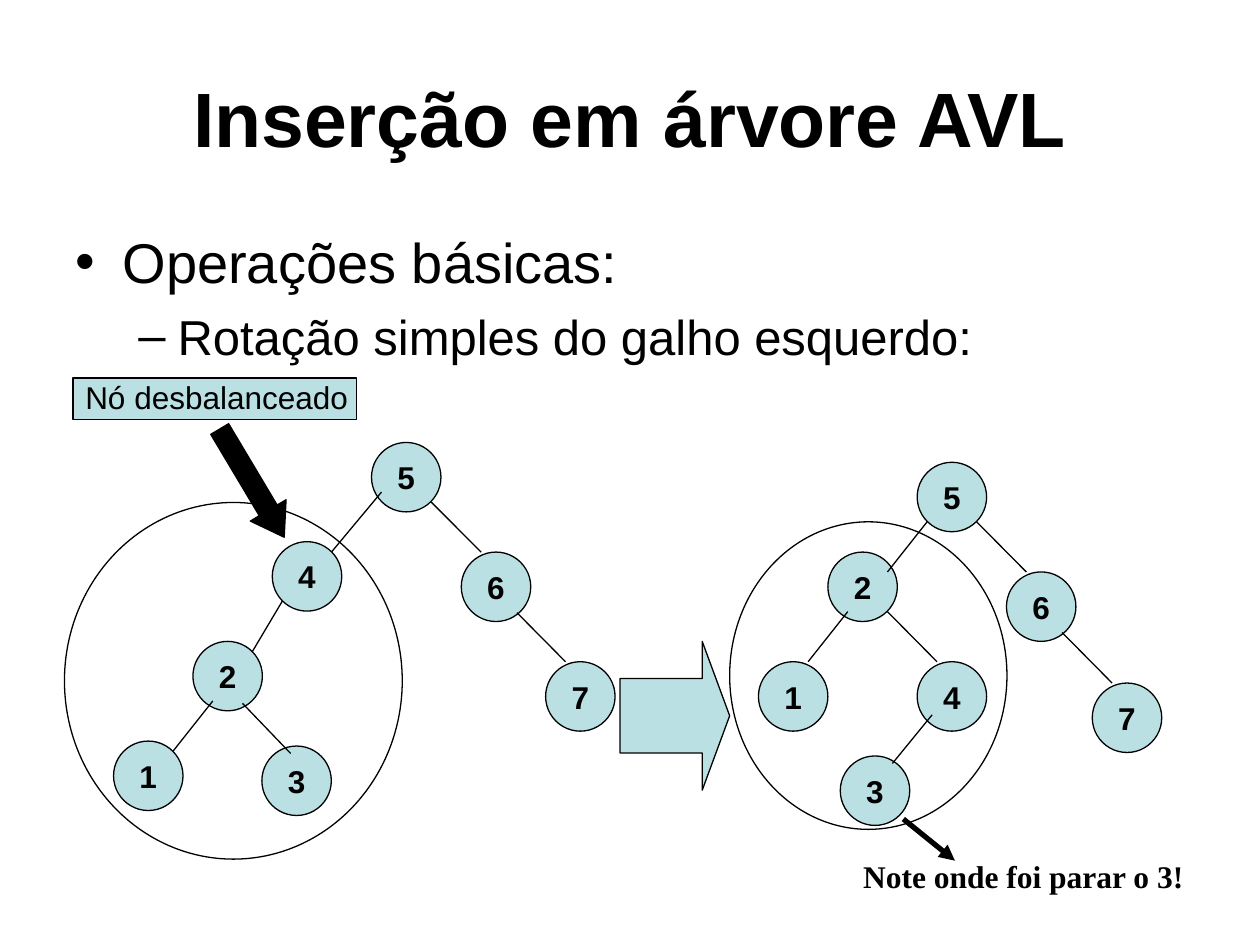
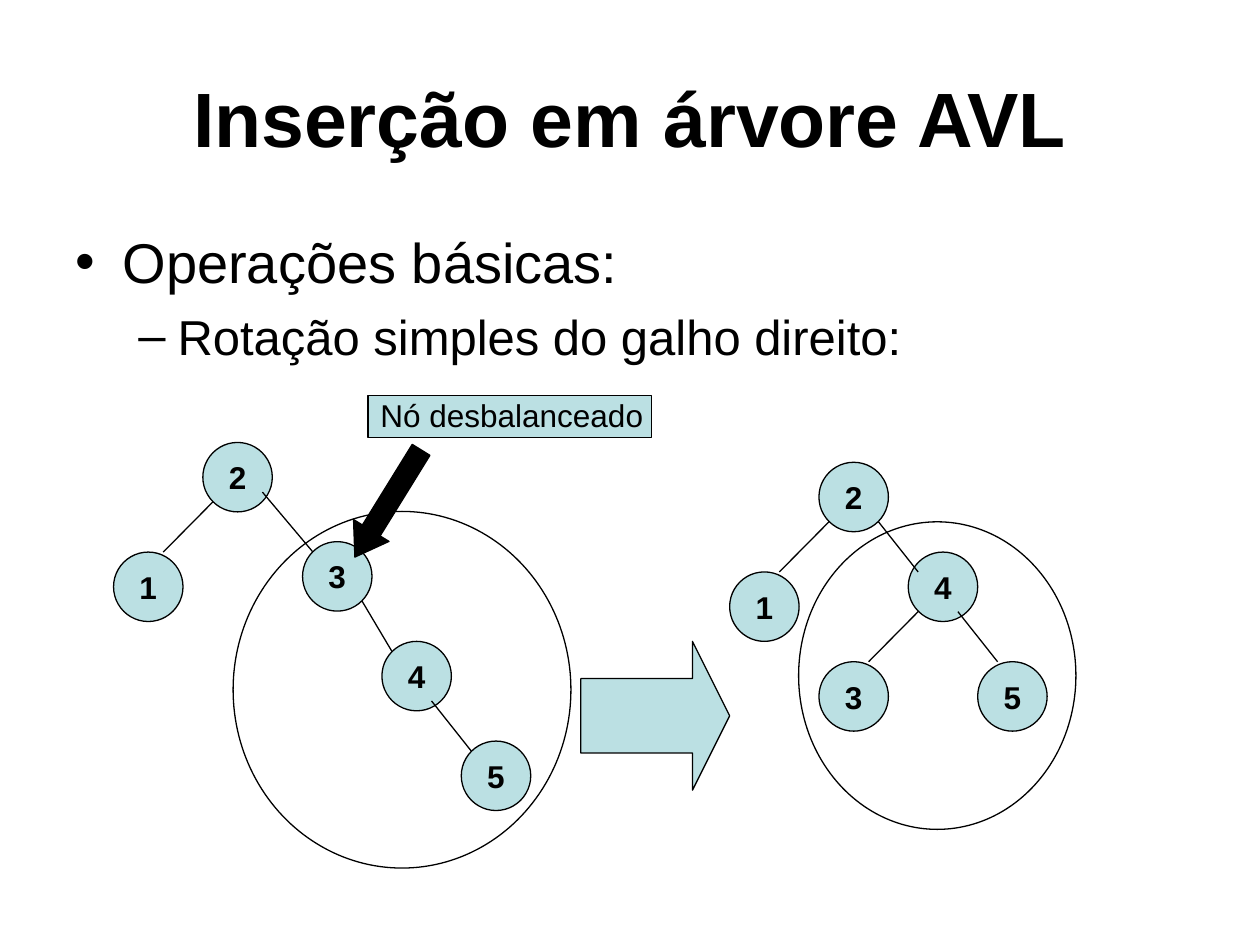
from lxml import etree
from pptx import Presentation
from pptx.dml.color import RGBColor
from pptx.enum.shapes import MSO_CONNECTOR, MSO_SHAPE
from pptx.enum.text import MSO_ANCHOR, PP_ALIGN
from pptx.oxml.ns import qn
from pptx.util import Cm, Pt

BLACK = RGBColor(0x00, 0x00, 0x00)
PALE = RGBColor(0xBB, 0xE0, 0xE3)
SANS, SERIF = "Arial", "Times New Roman"
OVAL, RECT, ARROW = MSO_SHAPE.OVAL, MSO_SHAPE.RECTANGLE, MSO_SHAPE.RIGHT_ARROW
STRAIGHT = MSO_CONNECTOR.STRAIGHT
LEFT, CENTER = PP_ALIGN.LEFT, PP_ALIGN.CENTER
TOP, MIDDLE = MSO_ANCHOR.TOP, MSO_ANCHOR.MIDDLE

# All places and sizes are in centimetres.
NODE = 1.4
TITLE = "Inserção em árvore AVL"
TOPIC = "Operações básicas:"
TAG = "Nó desbalanceado"

# Edge ends for a right child: exit x, y in the parent, entry x, y in the child.
# A left child uses the mirror image.
WIDE = (1.2, 1.2, 0.4, 0)
STEEP = (1, 1.2, 0.4, 0)
NEAR = (1.2, 1.2, 0.2, 0.2)
INNER = (1, 1.2, 0.2, 0.2)
HIGH = (1.2, 1, 0.2, 0.2)
DEEP = (1.2, 1.2, 0.2, 0.4)
LOW = (1, 1.25, 0.58, 0.15)
SHORT = (1.1, 1.07, 0.35, 0.15)
OUTER = (1.12, 1.22, 0.4, 0)

# Each tree maps a key to x, y, parent and edge ends.
SLIDES = [
    {
        "step": "Rotação simples do galho esquerdo:",
        "trees": [
            {5: (7.49, 8.92, None, None), 4: (5.49, 10.92, 5, HIGH),
             6: (9.3, 11.13, 5, WIDE), 2: (3.89, 12.93, 4, NEAR),
             7: (11, 13.34, 6, OUTER), 1: (2.29, 14.94, 2, INNER),
             3: (5.28, 15.04, 2, LOW)},
            {5: (18.49, 9.32, None, None), 2: (16.69, 11.13, 5, DEEP),
             6: (20.29, 11.53, 5, WIDE), 1: (15.29, 13.34, 2, STEEP),
             4: (18.49, 13.34, 2, WIDE), 7: (22.02, 13.77, 6, OUTER),
             3: (16.94, 15.24, 4, SHORT)},
        ],
        "rings": [(1.3, 10.13, 6.81, 7.19), (14.71, 10.52, 5.59, 6.2)],
        "block": (12.5, 12.93, 2.21, 3),
        "tag": (1.47, 7.62, 5.72, 0.84),
        "hint": (3.81, 9.32, 2.54, 0.84),
        "angle": 59.2,
        "note": ("Note onde foi parar o 3!", (17.15, 17.15, 6.99, 1.02),
                 (18.21, 16.51, 19.25, 17.35)),
    },
    {
        "step": "Rotação simples do galho direito:",
        "trees": [
            {2: (4.09, 8.92, None, None), 1: (2.29, 11.13, 2, WIDE),
             3: (6.1, 10.92, 2, HIGH), 4: (7.7, 12.93, 3, NEAR),
             5: (9.3, 14.94, 4, INNER)},
            {2: (16.51, 9.32, None, None), 1: (14.71, 11.53, 2, WIDE),
             4: (18.31, 11.13, 2, DEEP), 3: (16.51, 13.34, 4, WIDE),
             5: (19.71, 13.34, 4, STEEP)},
        ],
        "rings": [(4.7, 10.31, 6.81, 7.19), (16.1, 10.52, 5.59, 6.2)],
        "block": (11.71, 12.93, 3, 3),
        "tag": (7.42, 7.98, 5.72, 0.84),
        "hint": (6.55, 9.73, 2.54, 0.84),
        "angle": 121.7,
    },
]


def cms(nums):
    return [Cm(n) for n in nums]


def write(shape, text, size=18, font=SANS, bold=False, align=LEFT,
          anchor=TOP, wrap=False, more=False, top=0.13):
    """Put text in a shape, or add a paragraph when more is set."""
    frame = shape.text_frame
    frame.word_wrap = wrap
    frame.vertical_anchor = anchor
    frame.margin_left = frame.margin_right = Cm(0.25)
    frame.margin_top, frame.margin_bottom = Cm(top), Cm(0.13)
    para = frame.add_paragraph() if more else frame.paragraphs[0]
    para.alignment = align
    run = para.add_run()
    run.text = text
    run.font.size, run.font.name, run.font.bold = Pt(size), font, bold
    run.font.color.rgb = BLACK
    return para


def bullet(para, mark, indent, hang, space):
    para.space_before = Pt(space)
    props = para._p.get_or_add_pPr()
    props.set("marL", str(Cm(indent)))
    props.set("indent", str(-Cm(hang)))
    etree.SubElement(props, qn("a:buFont")).set("typeface", SANS)
    etree.SubElement(props, qn("a:buChar")).set("char", mark)


def draw(slide, kind, box, fill=None):
    shape = slide.shapes.add_shape(kind, *cms(box))
    shape.shadow.inherit = False
    if fill is None:
        shape.fill.background()
    else:
        shape.fill.solid()
        shape.fill.fore_color.rgb = fill
    shape.line.color.rgb = BLACK
    shape.line.width = Pt(0.75)
    return shape


def arrow(slide, box, fill, head):
    shape = draw(slide, ARROW, box, fill)
    shape.adjustments[0], shape.adjustments[1] = 0.5, head
    return shape


def link(slide, ends, width=0.75, tip=False):
    line = slide.shapes.add_connector(STRAIGHT, *cms(ends))
    line.line.color.rgb = BLACK
    line.line.width = Pt(width)
    if tip:
        tail = etree.SubElement(line.line._get_or_add_ln(), qn("a:tailEnd"))
        tail.set("type", "triangle")
    etree.SubElement(line._element.spPr, qn("a:effectLst"))


def grow(slide, tree):
    """Draw the nodes of a tree, then its edges on top."""
    for key, (x, y, *_) in tree.items():
        node = draw(slide, OVAL, (x, y, NODE, NODE), PALE)
        write(node, str(key), bold=True, align=CENTER, anchor=MIDDLE)
    for x, y, root, joint in tree.values():
        if root is None:
            continue
        px, py = tree[root][:2]
        ax, ay, bx, by = joint
        if x < px:
            ax, bx = NODE - ax, NODE - bx
        link(slide, (px + ax, py + ay, x + bx, y + by))


def build(deck, data):
    slide = deck.slides.add_slide(deck.slide_layouts[5])
    title = slide.shapes.title
    title.left, title.top, title.width, title.height = cms((1.27, 0.76, 22.86, 3.18))
    write(title, TITLE, size=44, bold=True, align=CENTER, anchor=MIDDLE, wrap=True)

    body = slide.shapes.add_textbox(*cms((1.27, 4.45, 22.86, 12.57)))
    bullet(write(body, TOPIC, size=32, wrap=True), "•", 0.95, 0.95, 8)
    step = write(body, data["step"], size=28, wrap=True, more=True)
    step.level = 1
    bullet(step, "–", 2.06, 0.79, 7)

    arrow(slide, data["block"], PALE, 0.25)
    for tree in data["trees"]:
        grow(slide, tree)
    for ring in data["rings"]:
        draw(slide, OVAL, ring)
    arrow(slide, data["hint"], BLACK, 0.75).rotation = data["angle"]
    write(draw(slide, RECT, data["tag"], PALE), TAG, top=0)

    if "note" in data:
        text, box, ends = data["note"]
        write(slide.shapes.add_textbox(*cms(box)), text, font=SERIF, bold=True)
        link(slide, ends, width=3, tip=True)


def main():
    deck = Presentation()
    deck.slide_width, deck.slide_height = Cm(25.4), Cm(19.05)
    for data in SLIDES:
        build(deck, data)
    deck.save("out.pptx")


if __name__ == "__main__":
    main()
